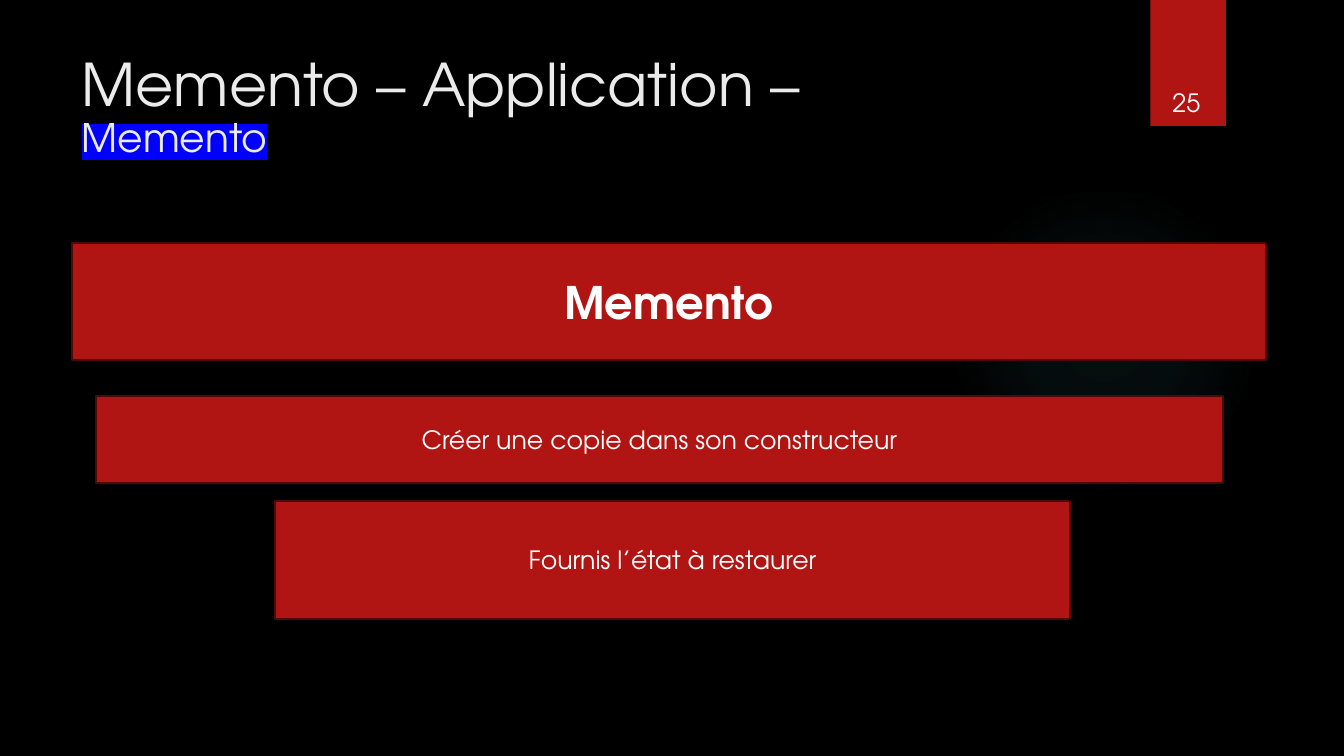
from lxml import etree
from pptx import Presentation
from pptx.dml.color import RGBColor
from pptx.enum.shapes import MSO_SHAPE
from pptx.enum.text import MSO_ANCHOR, MSO_AUTO_SIZE, PP_ALIGN
from pptx.oxml.ns import nsdecls, qn
from pptx.util import Inches, Pt

RECTANGLE, OVAL = MSO_SHAPE.RECTANGLE, MSO_SHAPE.OVAL
TOP, MIDDLE = MSO_ANCHOR.TOP, MSO_ANCHOR.MIDDLE
LEFT, CENTER = PP_ALIGN.LEFT, PP_ALIGN.CENTER
GROW, FIXED = MSO_AUTO_SIZE.SHAPE_TO_FIT_TEXT, MSO_AUTO_SIZE.NONE

FONT = "TeX Gyre Adventor"
BLACK, RED, DARK_RED = "000000", "B01513", "4D0908"
WHITE, PALE, BLUE, TEAL = "FFFFFF", "EBEBEB", "0000FF", "50B9C1"


def color(value):
    return RGBColor.from_string(value)


def place(shape, box):
    shape.left, shape.top, shape.width, shape.height = map(Inches, box)


def add_run(paragraph, text, size, font_color=WHITE, bold=False):
    run = paragraph.add_run()
    run.text = text
    font = run.font
    font.name, font.size, font.bold = FONT, Pt(size), bold
    font.color.rgb = color(font_color)
    return run


def add_plain_shape(slide, kind, box, fill):
    shape = slide.shapes.add_shape(kind, *map(Inches, box))
    shape.shadow.inherit = False
    shape.fill.solid()
    shape.fill.fore_color.rgb = color(fill)
    shape.line.fill.background()
    return shape


def add_glow(slide, box):
    """Add a circle whose faint light fades out towards its edge."""
    glow = add_plain_shape(slide, OVAL, box, TEAL)
    stops = "".join(
        f'<a:gs pos="{position * 1000}"><a:srgbClr val="{TEAL}">'
        f'<a:alpha val="{opacity * 1000}"/></a:srgbClr></a:gs>'
        for position, opacity in ((0, 7), (36, 6), (69, 0))
    )
    gradient = etree.fromstring(
        f'<a:gradFill {nsdecls("a")} rotWithShape="1"><a:gsLst>{stops}</a:gsLst>'
        '<a:path path="circle"><a:fillToRect l="50000" t="50000" r="50000" b="50000"/>'
        "</a:path></a:gradFill>"
    )
    properties = glow._element.spPr
    properties.replace(properties.find(qn("a:solidFill")), gradient)


def add_page_tab(slide, box, number):
    left, top, width, height = box
    tab = add_plain_shape(slide, RECTANGLE, box, RED)
    effects = tab._element.spPr.find(qn("a:effectLst"))
    effects.append(etree.fromstring(
        f'<a:outerShdw {nsdecls("a")} blurRad="{Pt(3)}" dist="{Pt(2)}" dir="5400000" '
        f'rotWithShape="0"><a:srgbClr val="{BLACK}"><a:alpha val="45000"/></a:srgbClr>'
        "</a:outerShdw>"
    ))
    label_box = (left + 0.12, top + height - 0.43, width + 0.03, 0.4)
    frame = slide.shapes.add_textbox(*map(Inches, label_box)).text_frame
    frame.word_wrap = True
    frame.auto_size = GROW
    add_run(frame.paragraphs[0], number, 18)


def add_title(slide, box, heading, subheading):
    title = slide.shapes.title
    place(title, box)
    frame = title.text_frame
    frame.vertical_anchor = TOP
    frame.auto_size = FIXED
    paragraph = frame.paragraphs[0]
    paragraph.alignment = LEFT
    paragraph.line_spacing = 0.9
    add_run(paragraph, heading, 42, PALE)
    paragraph.add_line_break()
    run = add_run(paragraph, subheading, 28, PALE)
    highlight = etree.fromstring(
        f'<a:highlight {nsdecls("a")}><a:srgbClr val="{BLUE}"/></a:highlight>'
    )
    run.font._element.find(qn("a:solidFill")).addnext(highlight)


def add_banner(slide, box, text, size=18, bold=False):
    banner = add_plain_shape(slide, RECTANGLE, box, RED)
    banner.line.color.rgb = color(DARK_RED)
    banner.line.width = Pt(1.5)
    frame = banner.text_frame
    frame.word_wrap = True
    frame.vertical_anchor = MIDDLE
    paragraph = frame.paragraphs[0]
    paragraph.alignment = CENTER
    add_run(paragraph, text, size, bold=bold)


def add_role(slide, box, name, duties):
    """Add a role's banner across the box, with one banner per duty below it."""
    left, top, width, height = box
    add_banner(slide, (left, top, width, height), name, 32, True)
    for text, (indent, drop, duty_width, duty_height) in duties:
        add_banner(slide, (left + indent, top + drop, duty_width, duty_height), text)


def main():
    presentation = Presentation()
    presentation.slide_width = Inches(13.33)
    presentation.slide_height = Inches(7.5)
    slide = presentation.slides.add_slide(presentation.slide_layouts[5])
    background = slide.background.fill
    background.solid()
    background.fore_color.rgb = color(BLACK)

    add_glow(slide, (9.41, 1.83, 3.08, 3.08))
    add_page_tab(slide, (11.41, 0, 0.75, 1.25), "25")
    add_title(slide, (0.71, 0.5, 10.29, 1.53), "Memento – Application –", "Memento")
    add_role(slide, (0.71, 2.41, 11.85, 1.16), "Memento", (
        ("Créer une copie dans son constructeur", (0.24, 1.52, 11.18, 0.86)),
        ("Fournis l’état à restaurer", (2.02, 2.56, 7.88, 1.17)),
    ))
    presentation.save("out.pptx")


if __name__ == "__main__":
    main()
